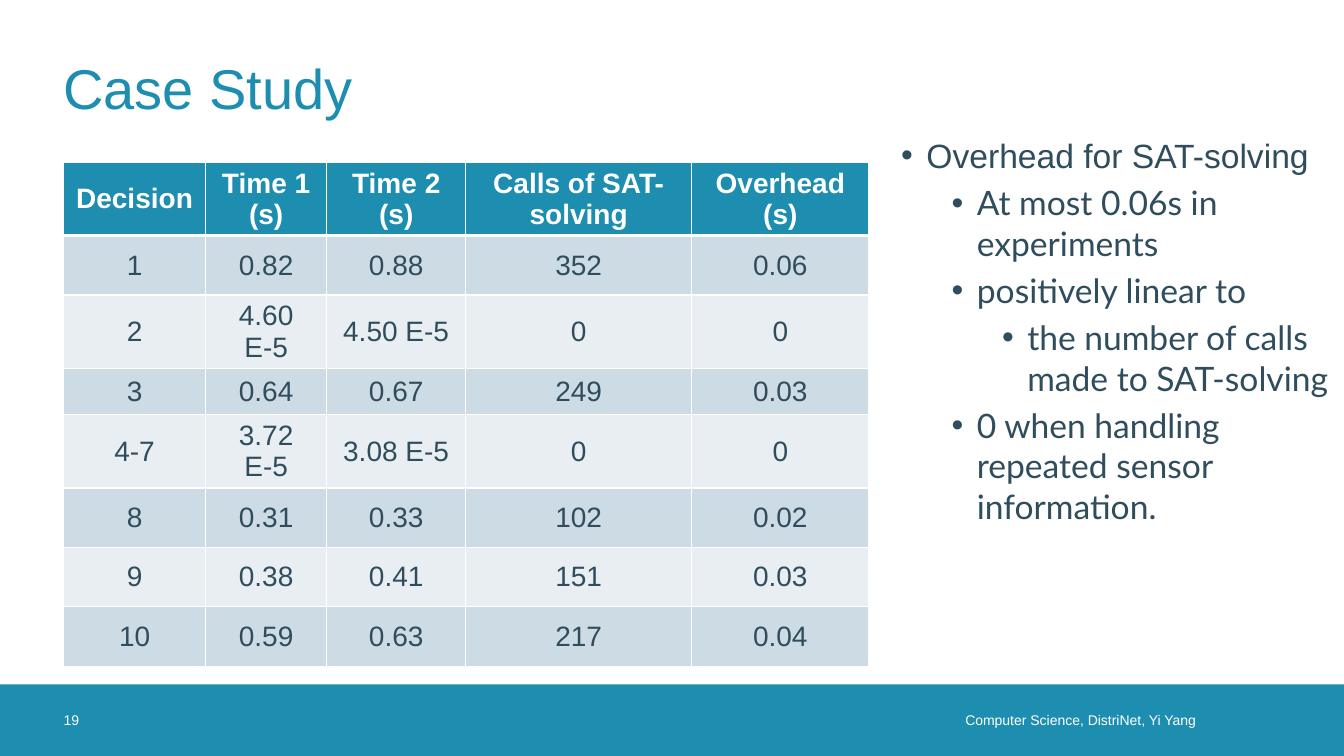
from lxml.etree import SubElement
from pptx import Presentation
from pptx.dml.color import RGBColor
from pptx.enum.shapes import MSO_SHAPE as Shape
from pptx.enum.text import MSO_ANCHOR as Anchor, PP_ALIGN as Align
from pptx.oxml.ns import qn
from pptx.util import Inches, Pt

COLOURS = {"teal": "1D8DB0", "ink": "2F4D5D", "white": "FFFFFF",
           "odd": "CDDBE4", "even": "E8EEF2"}
COLUMN_WIDTHS = [1.41, 1.2, 1.38, 2.24, 1.76]
ROW_HEIGHTS = [0.71, 0.59, 0.71, 0.46, 0.71, 0.59, 0.59, 0.59]
RESULTS = [
    ["Decision", "Time 1 (s)", "Time 2 (s)", "Calls of SAT-solving", "Overhead (s)"],
    ["1", "0.82", "0.88", "352", "0.06"],
    ["2", "4.60 E-5", "4.50 E-5", "0", "0"],
    ["3", "0.64", "0.67", "249", "0.03"],
    ["4-7", "3.72 E-5", "3.08 E-5", "0", "0"],
    ["8", "0.31", "0.33", "102", "0.02"],
    ["9", "0.38", "0.41", "151", "0.03"],
    ["10", "0.59", "0.63", "217", "0.04"],
]
FINDINGS = [
    (0, "Overhead for SAT-solving"),
    (1, "At most 0.06s in experiments"),
    (1, "positively linear to"),
    (2, "the number of calls made to SAT-solving"),
    (1, "0 when handling repeated sensor information."),
]


def colour(name):
    """Return the named colour."""
    return RGBColor.from_string(COLOURS[name])


def write(para, text, size=20, font="Arial", ink="ink", bold=False, align=Align.LEFT):
    """Add formatted text to a paragraph."""
    para.alignment = align
    span = para.add_run()
    span.text = text
    span.font.size, span.font.name, span.font.bold = Pt(size), font, bold
    span.font.color.rgb = colour(ink)


def add_box(page, left, top, width, height, anchor=Anchor.MIDDLE, insets=(0, 0, 0, 0)):
    """Add a wrapping text box and return its text frame."""
    lengths = map(Inches, (left, top, width, height))
    frame = page.shapes.add_textbox(*lengths).text_frame
    frame.word_wrap, frame.vertical_anchor = True, anchor
    (frame.margin_left, frame.margin_top,
     frame.margin_right, frame.margin_bottom) = map(Inches, insets)
    return frame


def add_title(page, left, top, width, height):
    """Place the slide title."""
    frame = add_box(page, left, top, width, height)
    write(frame.paragraphs[0], "Case Study", size=40, ink="teal")


def add_footer(page, left, top, width, height):
    """Place the footer band with page number and affiliation."""
    band = page.shapes.add_shape(Shape.RECTANGLE, *map(Inches, (left, top, width, height)))
    band.shadow.inherit = False
    band.fill.solid()
    band.fill.fore_color.rgb = colour("teal")
    band.line.fill.background()
    affiliation = add_box(page, left + 6.6, top, 5.46, height, insets=(0, 0, 0.2, 0))
    write(affiliation.paragraphs[0], "Computer Science, DistriNet, Yi Yang",
          size=10, ink="white", align=Align.RIGHT)
    number = add_box(page, left + 0.63, top, 0.71, height)
    write(number.paragraphs[0], "19", size=10, ink="white")


def style_cell(cell, fill, top, bottom):
    """Give a cell white borders and a solid fill."""
    properties = cell._tc.get_or_add_tcPr()
    for side, weight in {"lnL": 1, "lnR": 1, "lnT": top, "lnB": bottom}.items():
        border = SubElement(properties, qn(f"a:{side}"), w=str(Pt(weight)))
        paint = SubElement(border, qn("a:solidFill"))
        SubElement(paint, qn("a:srgbClr"), val=COLOURS["white"])
    cell.fill.solid()
    cell.fill.fore_color.rgb = colour(fill)


def add_results(page, left, top):
    """Place the table of measured times."""
    size = sum(COLUMN_WIDTHS), sum(ROW_HEIGHTS)
    table = page.shapes.add_table(len(RESULTS), len(COLUMN_WIDTHS),
                                  *map(Inches, (left, top, *size))).table
    for column, width in zip(table.columns, COLUMN_WIDTHS):
        column.width = Inches(width)
    for index, (row, height, values) in enumerate(zip(table.rows, ROW_HEIGHTS, RESULTS)):
        row.height = Inches(height)
        header = index == 0
        fill = "teal" if header else "odd" if index % 2 else "even"
        for cell, text in zip(row.cells, values):
            cell.vertical_anchor = Anchor.MIDDLE
            cell.margin_top = cell.margin_bottom = Inches(0.03)
            style_cell(cell, fill, 3 if index == 1 else 1, 3 if header else 1)
            write(cell.text_frame.paragraphs[0], text, bold=header,
                  ink="white" if header else "ink", align=Align.CENTER)


def add_findings(page, left, top, width, height):
    """Place the bulleted findings."""
    frame = add_box(page, left, top, width, height, Anchor.TOP, (0.1, 0.05, 0.1, 0.05))
    for index, (level, text) in enumerate(FINDINGS):
        para = frame.add_paragraph() if index else frame.paragraphs[0]
        para.level = level
        if index:
            para.space_before = Pt(5)
        properties = para._p.get_or_add_pPr()
        properties.set("marL", str(Inches(0.25 + 0.5 * level)))
        properties.set("indent", str(Inches(-0.25)))
        SubElement(properties, qn("a:buFont"), typeface="Arial")
        SubElement(properties, qn("a:buChar"), char="•")
        write(para, text, size=24, font="Lato" if level else "Arial")


def main():
    """Build and save the slide."""
    deck = Presentation()
    deck.slide_width, deck.slide_height = Inches(13.33), Inches(7.5)
    page = deck.slides.add_slide(deck.slide_layouts[6])
    add_footer(page, 0, 6.79, 13.33, 0.71)
    add_title(page, 0.63, 0.23, 12.07, 1.26)
    add_results(page, 0.63, 1.61)
    add_findings(page, 8.84, 1.29, 4.49, 5.3)
    deck.save("out.pptx")


if __name__ == "__main__":
    main()
